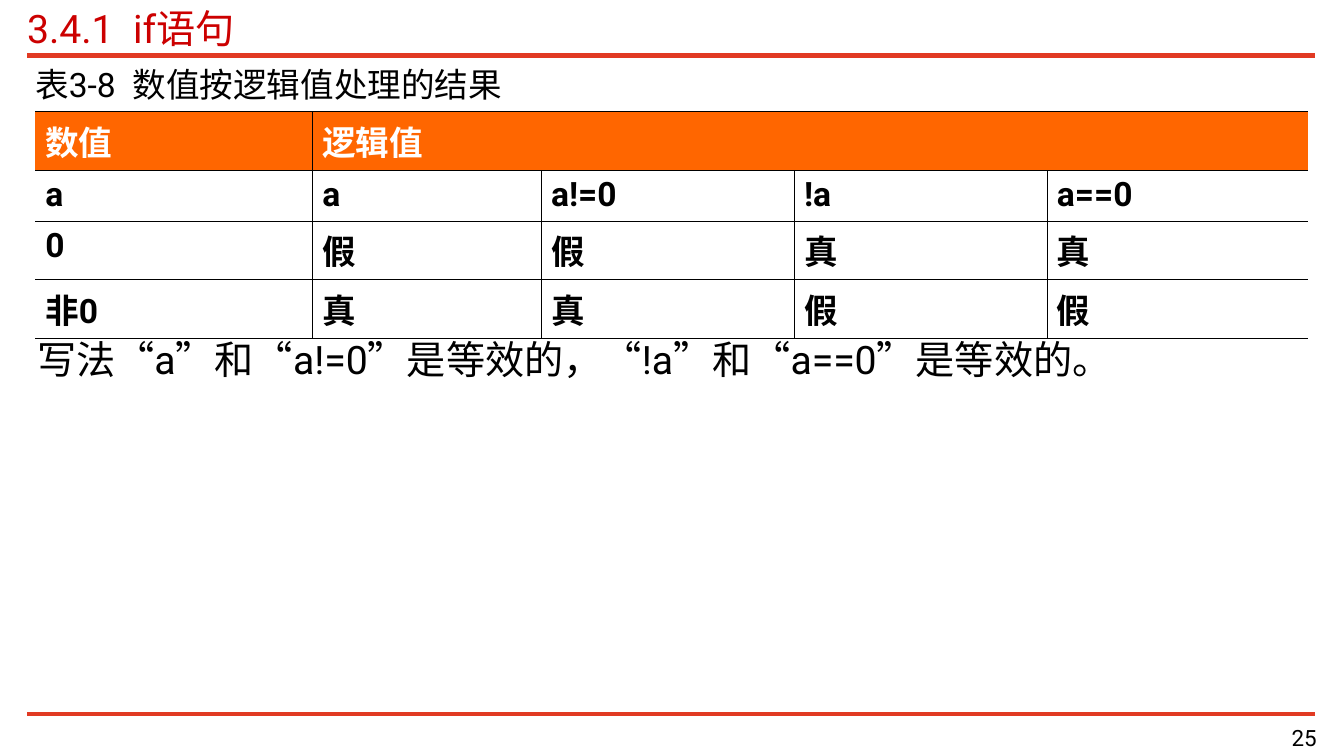
"""Build the slide on how C numbers are treated as logical values."""
import dataclasses
import typing

import pptx
import pptx.dml.color
import pptx.enum.shapes
import pptx.enum.text
import pptx.oxml
import pptx.oxml.ns
import pptx.util

ALIGN = pptx.enum.text.PP_ALIGN
Color = pptx.dml.color.RGBColor


@dataclasses.dataclass(frozen=True)
class Theme:
    font: str = "Roboto"
    rule: str = "E13A23"
    title: str = "CC0000"
    ink: str = "000000"
    header_fill: str = "FF6600"
    header_ink: str = "FFFFFF"
    large: int = 28
    medium: int = 24
    small: int = 16
    thin: float = 0.45
    edge: float = 0.62


class Area(typing.NamedTuple):
    left: float
    top: float
    width: float
    height: float


class TextItem(typing.NamedTuple):
    text: str
    area: Area
    size: int
    align: ALIGN = ALIGN.LEFT
    anchor: pptx.enum.text.MSO_ANCHOR = pptx.enum.text.MSO_ANCHOR.MIDDLE
    padding: tuple[float, float] = (0, 0)
    color: str = Theme.ink


class Rule(typing.NamedTuple):
    top: float
    weight: float


THEME = Theme()
WIDTH, HEIGHT = pptx.util.Inches(13.34), pptx.util.Inches(7.5)
MARGIN, SPAN = 2.02, 95.8

TITLE = TextItem("3.4.1  if语句", Area(MARGIN, 0.53, SPAN, 6.27), THEME.large, color=THEME.title)
TEXTS = [
    TextItem("表3-8  数值按逻辑值处理的结果", Area(2.62, 8.4, 94.75, 5.33), THEME.medium),
    TextItem("写法“a”和“a!=0”是等效的，“!a”和“a==0”是等效的。",
             Area(MARGIN, 43.73, SPAN, 49.33), THEME.large,
             anchor=pptx.enum.text.MSO_ANCHOR.TOP, padding=(0.1, 0.05)),
    TextItem("25", Area(77.89, 95.47, 20.09, 4.13), THEME.small, align=ALIGN.RIGHT),
]
RULES = [Rule(7.33, 4), Rule(94.4, 3)]
COLUMNS = [20.62, 17.02, 18.82, 18.82, 19.47]
ROW_HEIGHT = 6.63
ROWS = [
    ["数值", "逻辑值", "", "", ""],
    ["a", "a", "a!=0", "!a", "a==0"],
    ["0", "假", "假", "真", "真"],
    ["非0", "真", "真", "假", "假"],
]


def across(share: float) -> int:
    """Turn a percentage of the slide width into a length."""
    return round(WIDTH * share / 100)


def down(share: float) -> int:
    """Turn a percentage of the slide height into a length."""
    return round(HEIGHT * share / 100)


def box(area: Area) -> tuple[int, int, int, int]:
    """Turn an area in percentages into lengths."""
    return across(area.left), down(area.top), across(area.width), down(area.height)


def apply(target: typing.Any, values: dict[str, typing.Any]) -> None:
    """Set every named attribute on the target."""
    for name, value in values.items():
        setattr(target, name, value)


def write(paragraph: typing.Any, text: str, size: int, color: str, bold: bool = False) -> None:
    """Write one formatted run of text into a paragraph."""
    run = paragraph.add_run()
    run.text = text
    apply(run.font, {"name": THEME.font, "size": pptx.util.Pt(size), "bold": bold})
    run.font.color.rgb = Color.from_string(color)


def fill_text(shape: typing.Any, item: TextItem) -> None:
    """Place a text shape and write its content."""
    apply(shape, dict(zip(("left", "top", "width", "height"), box(item.area))))
    side, end = map(pptx.util.Inches, item.padding)
    apply(shape.text_frame, {
        "word_wrap": True, "auto_size": pptx.enum.text.MSO_AUTO_SIZE.NONE,
        "vertical_anchor": item.anchor, "margin_left": side, "margin_right": side,
        "margin_top": end, "margin_bottom": end})
    paragraph = shape.text_frame.paragraphs[0]
    paragraph.alignment = item.align
    write(paragraph, item.text, item.size, item.color)


def draw_rule(slide: typing.Any, rule: Rule) -> None:
    """Draw a horizontal rule between the slide margins."""
    connector = slide.shapes.add_connector(
        pptx.enum.shapes.MSO_CONNECTOR.STRAIGHT,
        across(MARGIN), down(rule.top), across(MARGIN + SPAN), down(rule.top))
    connector.line.color.rgb = Color.from_string(THEME.rule)
    connector.line.width = pptx.util.Pt(rule.weight)
    properties = connector.element.find(pptx.oxml.ns.qn("p:spPr"))
    properties.append(pptx.oxml.parse_xml(f'<a:effectLst {pptx.oxml.ns.nsdecls("a")}/>'))


def add_border(cell: typing.Any, side: str, weight: float) -> None:
    """Add one cell border, or an empty one when the weight is zero."""
    paint = f'<a:solidFill><a:srgbClr val="{THEME.ink}"/></a:solidFill>' if weight else "<a:noFill/>"
    cell._tc.get_or_add_tcPr().append(pptx.oxml.parse_xml(
        f'<a:ln{side} {pptx.oxml.ns.nsdecls("a")} w="{pptx.util.Pt(weight)}">{paint}</a:ln{side}>'))


def draw_table(slide: typing.Any) -> None:
    """Draw the table of logical values with open left and right sides."""
    area = Area(2.62, 14.8, sum(COLUMNS), ROW_HEIGHT * len(ROWS))
    table = slide.shapes.add_table(len(ROWS), len(COLUMNS), *box(area)).table
    apply(table, {"first_row": False, "horz_banding": False})
    for column, share in zip(table.columns, COLUMNS):
        column.width = across(share)
    table.cell(0, 1).merge(table.cell(0, len(COLUMNS) - 1))
    last_row, last_column = len(ROWS) - 1, len(COLUMNS) - 1
    for row, texts in enumerate(ROWS):
        table.rows[row].height = down(ROW_HEIGHT)
        header = row == 0
        for column, text in enumerate(texts):
            cell = table.cell(row, column)
            left = column == 1 if header else column > 0
            right = column == 0 if header else column < last_column
            add_border(cell, "L", THEME.thin * left)
            add_border(cell, "R", THEME.thin * right)
            add_border(cell, "T", THEME.edge if row <= 1 else THEME.thin)
            add_border(cell, "B", THEME.edge if row in (0, last_row) else THEME.thin)
            if header:
                cell.fill.solid()
                cell.fill.fore_color.rgb = Color.from_string(THEME.header_fill)
            else:
                cell.fill.background()
            if text:
                write(cell.text_frame.paragraphs[0], text, THEME.medium,
                      THEME.header_ink if header else THEME.ink, bold=True)


def main() -> None:
    """Build and save the presentation."""
    presentation = pptx.Presentation()
    apply(presentation, {"slide_width": WIDTH, "slide_height": HEIGHT})
    slide = presentation.slides.add_slide(presentation.slide_layouts.get_by_name("Title Only"))
    for rule in RULES:
        draw_rule(slide, rule)
    fill_text(slide.shapes.title, TITLE)
    draw_table(slide)
    for item in TEXTS:
        fill_text(slide.shapes.add_textbox(*box(item.area)), item)
    presentation.save("out.pptx")


if __name__ == "__main__":
    main()
